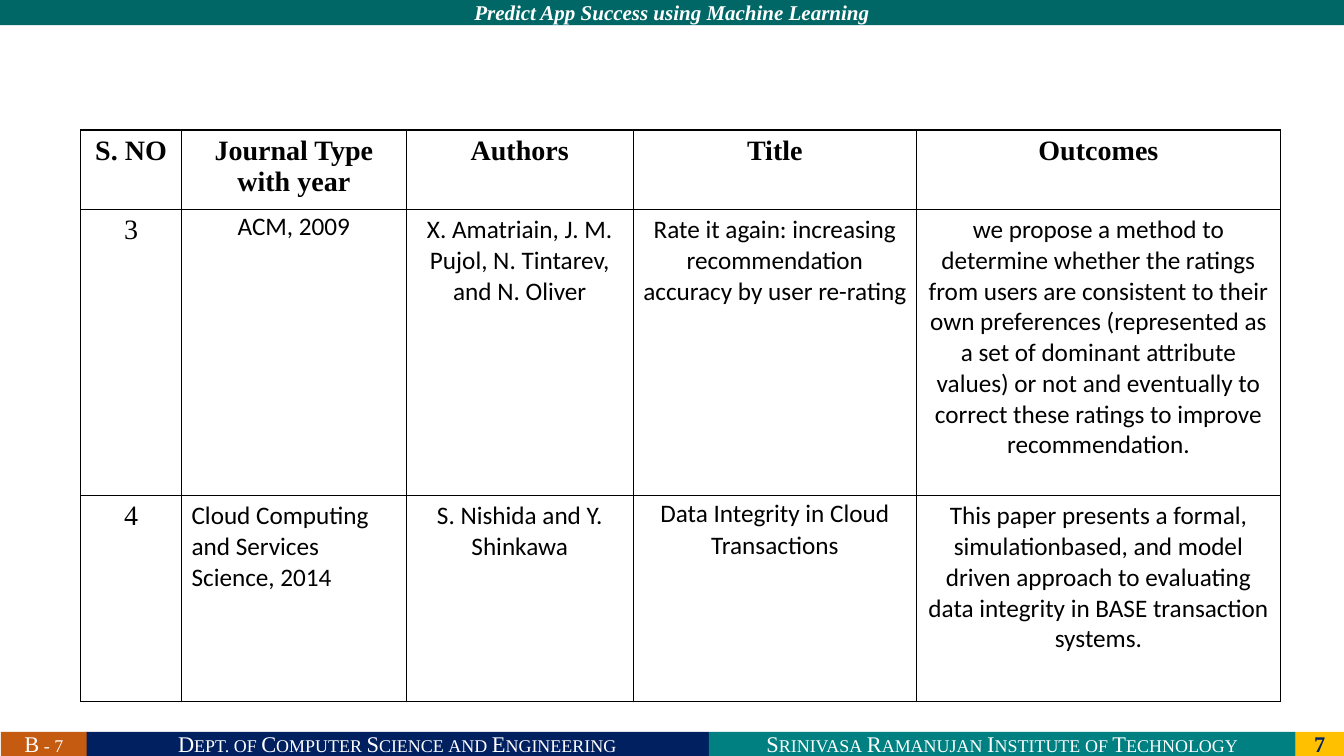
from lxml import etree
from pptx import Presentation
from pptx import util as u
from pptx.dml.color import RGBColor
from pptx.enum import shapes, text
from pptx.oxml import ns

NAVY = RGBColor(0x00, 0x20, 0x60)
TEAL = RGBColor(0x00, 0x80, 0x80)
DARK_TEAL = RGBColor(0x00, 0x66, 0x66)
GOLD = RGBColor(0xFF, 0xC0, 0x00)
RUST = RGBColor(0xC5, 0x5A, 0x11)
WHITE = RGBColor(0xFF, 0xFF, 0xFF)
BLACK = RGBColor(0x00, 0x00, 0x00)

HEADINGS = ["S. NO", "Journal Type with year", "Authors", "Title", "Outcomes"]
PAPERS = [
    ["3", "ACM, 2009", "X. Amatriain, J. M. Pujol, N. Tintarev, and N. Oliver",
     "Rate it again: increasing recommendation accuracy by user re-rating",
     "we propose a method to determine whether the ratings from users are "
     "consistent to their own preferences (represented as a set of dominant "
     "attribute values) or not and eventually to correct these ratings to "
     "improve recommendation."],
    ["4", "Cloud Computing and Services Science, 2014",
     "S. Nishida and Y. Shinkawa", "Data Integrity in Cloud Transactions",
     "This paper presents a formal, simulationbased, and model driven approach "
     "to evaluating data integrity in BASE transaction systems."],
]
COLUMN_WIDTHS = [1, 2.23, 2.25, 2.81, 3.61]
ROW_HEIGHTS = [0.79, 2.84, 2.04]
TIGHT_CELLS = {(1, 1), (2, 3)}
LEFT_CELLS = {(2, 1)}


class SurveySlide:
    serif = "Times New Roman"
    sans = "Calibri"

    def __init__(self, deck):
        self.slide = deck.slides.add_slide(deck.slide_layouts[5])

    def add_words(self, frame, words, size, color, font, bold=False, italic=False,
                  small_caps=False, align=text.PP_ALIGN.CENTER):
        paragraph = frame.paragraphs[0]
        paragraph.alignment = align
        run = paragraph.add_run()
        run.text = words
        run.font.size = u.Pt(size)
        run.font.name = font
        run.font.bold = bold
        run.font.italic = italic
        run.font.color.rgb = color
        if small_caps:
            run._r.get_or_add_rPr().set("cap", "small")
        return paragraph

    def fill_band(self, band, words, fill, size, color, **style):
        band.fill.solid()
        band.fill.fore_color.rgb = fill
        band.line.fill.background()
        frame = band.text_frame
        frame.word_wrap = True
        frame.auto_size = text.MSO_AUTO_SIZE.NONE
        frame.vertical_anchor = text.MSO_ANCHOR.MIDDLE
        frame.margin_top = frame.margin_bottom = 0
        self.add_words(frame, words, size, color, self.serif, **style)

    def header(self, words):
        title = self.slide.shapes.title
        title.left, title.top = u.Inches(0), u.Inches(0)
        title.width, title.height = u.Inches(13.33), u.Inches(0.25)
        self.fill_band(title, words, DARK_TEAL, 15, WHITE, bold=True, italic=True)

    def footer(self, left, width, words, fill, color=WHITE, **style):
        band = self.slide.shapes.add_shape(
            shapes.MSO_SHAPE.RECTANGLE, u.Inches(left), u.Inches(7.26),
            u.Inches(width), u.Inches(0.24))
        band.shadow.inherit = False
        self.fill_band(band, words, fill, 16, color, **style)

    def border(self, cell):
        properties = cell._tc.get_or_add_tcPr()
        for side in ("a:lnL", "a:lnR", "a:lnT", "a:lnB"):
            line = etree.SubElement(properties, ns.qn(side), w=str(u.Pt(1)))
            solid = etree.SubElement(line, ns.qn("a:solidFill"))
            etree.SubElement(solid, ns.qn("a:srgbClr"), val=str(BLACK))

    def table(self, left, top, rows):
        survey = self.slide.shapes.add_table(
            len(rows), len(COLUMN_WIDTHS), u.Inches(left), u.Inches(top),
            u.Inches(sum(COLUMN_WIDTHS)), u.Inches(sum(ROW_HEIGHTS))).table
        survey.first_row = survey.horz_banding = False
        for column, width in zip(survey.columns, COLUMN_WIDTHS):
            column.width = u.Inches(width)
        for row, height in zip(survey.rows, ROW_HEIGHTS):
            row.height = u.Inches(height)
        for r, entries in enumerate(rows):
            for c, words in enumerate(entries):
                self.cell(survey.cell(r, c), r, c, words)

    def cell(self, cell, r, c, words):
        self.border(cell)
        cell.fill.solid()
        cell.fill.fore_color.rgb = WHITE
        serif = r == 0 or c == 0
        align = text.PP_ALIGN.LEFT if (r, c) in LEFT_CELLS else text.PP_ALIGN.CENTER
        paragraph = self.add_words(
            cell.text_frame, words, 20 if serif else 18, BLACK,
            self.serif if serif else self.sans, bold=r == 0, align=align)
        if (r, c) in TIGHT_CELLS:
            cell.margin_left = cell.margin_right = u.Inches(0.07)
            cell.margin_top = cell.margin_bottom = 0
            paragraph.line_spacing = 1.07


def main():
    deck = Presentation()
    deck.slide_width, deck.slide_height = u.Inches(13.33), u.Inches(7.5)
    survey = SurveySlide(deck)
    survey.footer(0.85, 6.18, "Dept. of Computer Science and Engineering", NAVY,
                  small_caps=True)
    survey.footer(7.03, 5.82, "Srinivasa Ramanujan Institute of Technology", TEAL,
                  small_caps=True)
    survey.footer(12.85, 0.48, "7", GOLD, NAVY, bold=True)
    survey.header("Predict App Success using Machine Learning")
    survey.footer(0.01, 0.85, "B - 7", RUST, small_caps=True)
    survey.table(0.8, 1.29, [HEADINGS] + PAPERS)
    deck.save("out.pptx")


if __name__ == "__main__":
    main()
